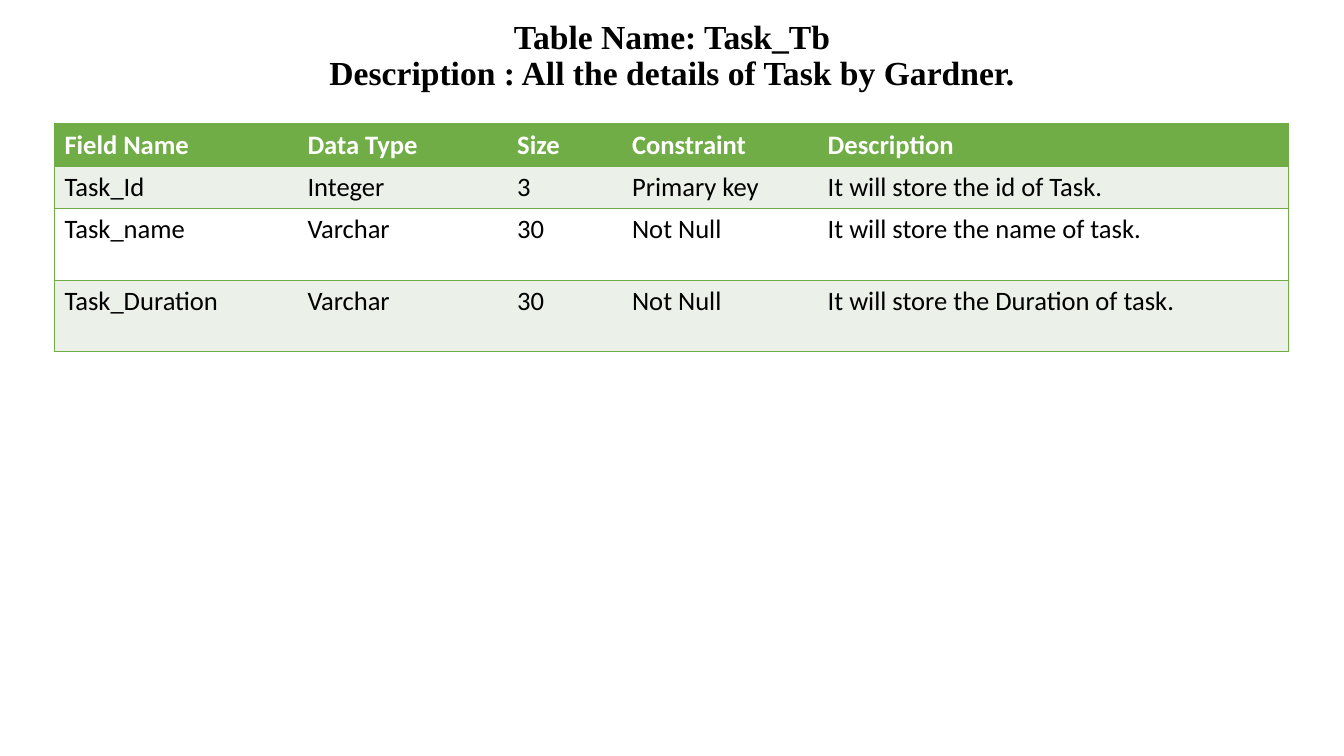
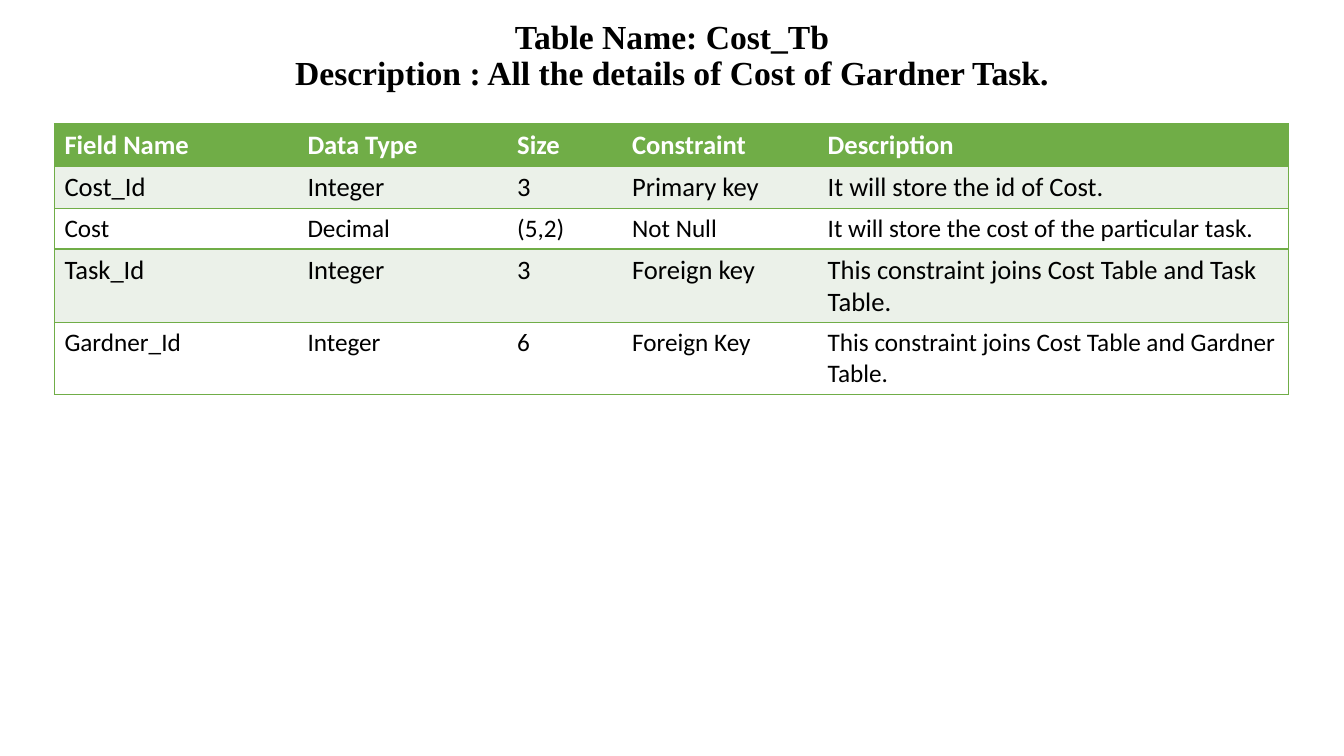
import dataclasses

import lxml.etree
import pptx
import pptx.dml.color
import pptx.enum.text
import pptx.oxml.ns
import pptx.util

Inches = pptx.util.Inches
Pt = pptx.util.Pt


@dataclasses.dataclass(frozen=True)
class Theme:
    green: str = "70AD47"
    band: str = "EBF1E9"
    white: str = "FFFFFF"
    black: str = "000000"
    title_font: str = "Times New Roman"
    body_font: str = "Calibri"
    title_size: int = 24
    large: int = 19
    small: int = 18
    border: int = 1


THEME = Theme()
SLIDE_SIZE = (13.33, 7.5)
TITLE_BOX = (1.55, 0.04, 10.23, 0.93)
TABLE_ORIGIN = (0.54, 1.23)
COLUMN_WIDTHS = (2.41, 2.08, 1.14, 1.94, 4.67)
HEADINGS = ("Field Name", "Data Type", "Size", "Constraint", "Description")
HEADER_HEIGHT = 0.42

# Each field: row height, text size, cell texts.
TABLES = (
    ("Task_Tb", "All the details of Task by Gardner.", (
        (0.42, THEME.large, ("Task_Id", "Integer", "3", "Primary key",
                             "It will store the id of Task.")),
        (0.71, THEME.large, ("Task_name", "Varchar", "30", "Not Null",
                             "It will store the name of task.")),
        (0.71, THEME.large, ("Task_Duration", "Varchar", "30", "Not Null",
                             "It will store the Duration of task.")),
    )),
    ("Cost_Tb", "All the details of Cost of Gardner Task.", (
        (0.42, THEME.large, ("Cost_Id", "Integer", "3", "Primary key",
                             "It will store the id of Cost.")),
        (0.4, THEME.small, ("Cost", "Decimal", "(5,2)", "Not Null",
                            "It will store the cost of the particular task.")),
        (0.73, THEME.large, ("Task_Id", "Integer", "3", "Foreign key",
                             "This constraint joins Cost Table and Task Table.")),
        (0.71, THEME.small, ("Gardner_Id", "Integer", "6", "Foreign Key",
                             "This constraint joins Cost Table and Gardner Table.")),
    )),
)


def rgb(color):
    return pptx.dml.color.RGBColor.from_string(color)


def style_font(paragraph, name, size, color, bold):
    font = paragraph.font
    font.name, font.size, font.bold = name, Pt(size), bold
    font.color.rgb = rgb(color)


def set_borders(cell, visible_sides):
    """Draw the named sides (from L, R, T, B) in green and hide the others."""
    qn = pptx.oxml.ns.qn
    properties = cell._tc.get_or_add_tcPr()
    for position, side in enumerate("LRTB"):
        line = lxml.etree.Element(qn(f"a:ln{side}"), w=str(Pt(THEME.border)))
        if side in visible_sides:
            fill = lxml.etree.SubElement(line, qn("a:solidFill"))
            lxml.etree.SubElement(fill, qn("a:srgbClr"), val=THEME.green)
        else:
            lxml.etree.SubElement(line, qn("a:noFill"))
        properties.insert(position, line)


def add_title(slide, box, table_name, description):
    frame = slide.shapes.add_textbox(*map(Inches, box)).text_frame
    frame.word_wrap = True
    frame.vertical_anchor = pptx.enum.text.MSO_ANCHOR.BOTTOM
    paragraph = frame.paragraphs[0]
    paragraph.text = f"Table Name: {table_name}\vDescription : {description}"
    paragraph.alignment = pptx.enum.text.PP_ALIGN.CENTER
    paragraph.line_spacing = 0.9
    style_font(paragraph, THEME.title_font, THEME.title_size, THEME.black, True)


def add_field_table(slide, origin, fields):
    rows = ((HEADER_HEIGHT, THEME.large, HEADINGS), *fields)
    size = (sum(COLUMN_WIDTHS), sum(height for height, _, _ in rows))
    table = slide.shapes.add_table(
        len(rows), len(HEADINGS), *map(Inches, origin + size)).table
    table.horz_banding = False
    for column, width in zip(table.columns, COLUMN_WIDTHS):
        column.width = Inches(width)

    last_column = len(HEADINGS) - 1
    for row_index, (height, text_size, texts) in enumerate(rows):
        table.rows[row_index].height = Inches(height)
        header = row_index == 0
        band = THEME.band if row_index % 2 else THEME.white
        for column_index, text in enumerate(texts):
            cell = table.cell(row_index, column_index)
            cell.fill.solid()
            cell.fill.fore_color.rgb = rgb(THEME.green if header else band)
            outer_sides = {0: "L", last_column: "R"}.get(column_index, "")
            set_borders(cell, "TB" + outer_sides)
            paragraph = cell.text_frame.paragraphs[0]
            paragraph.text = text
            style_font(paragraph, THEME.body_font, text_size,
                       THEME.white if header else THEME.black, header)


def add_table_slide(presentation, table_name, description, fields):
    slide = presentation.slides.add_slide(presentation.slide_layouts[6])
    add_field_table(slide, TABLE_ORIGIN, fields)
    add_title(slide, TITLE_BOX, table_name, description)


def main():
    presentation = pptx.Presentation()
    presentation.slide_width, presentation.slide_height = map(Inches, SLIDE_SIZE)
    for table_name, description, fields in TABLES:
        add_table_slide(presentation, table_name, description, fields)
    presentation.save("out.pptx")


if __name__ == "__main__":
    main()
